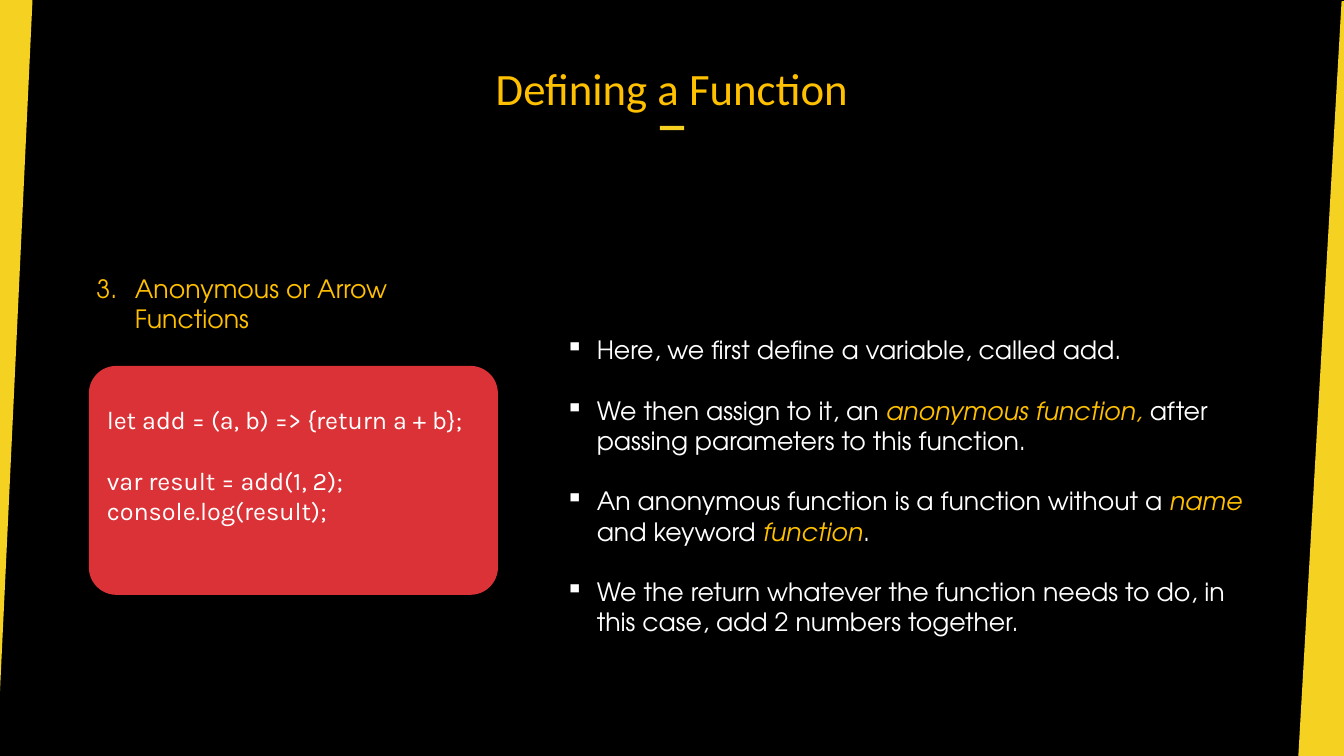
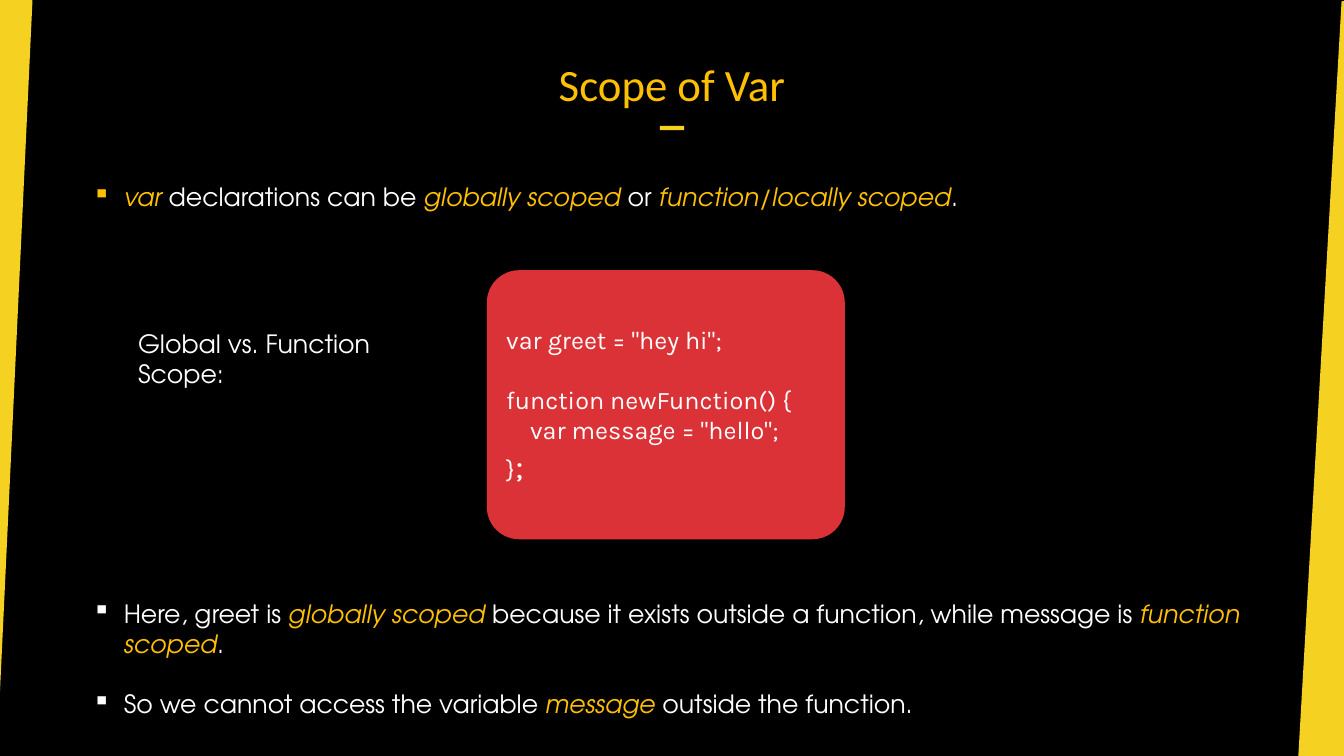
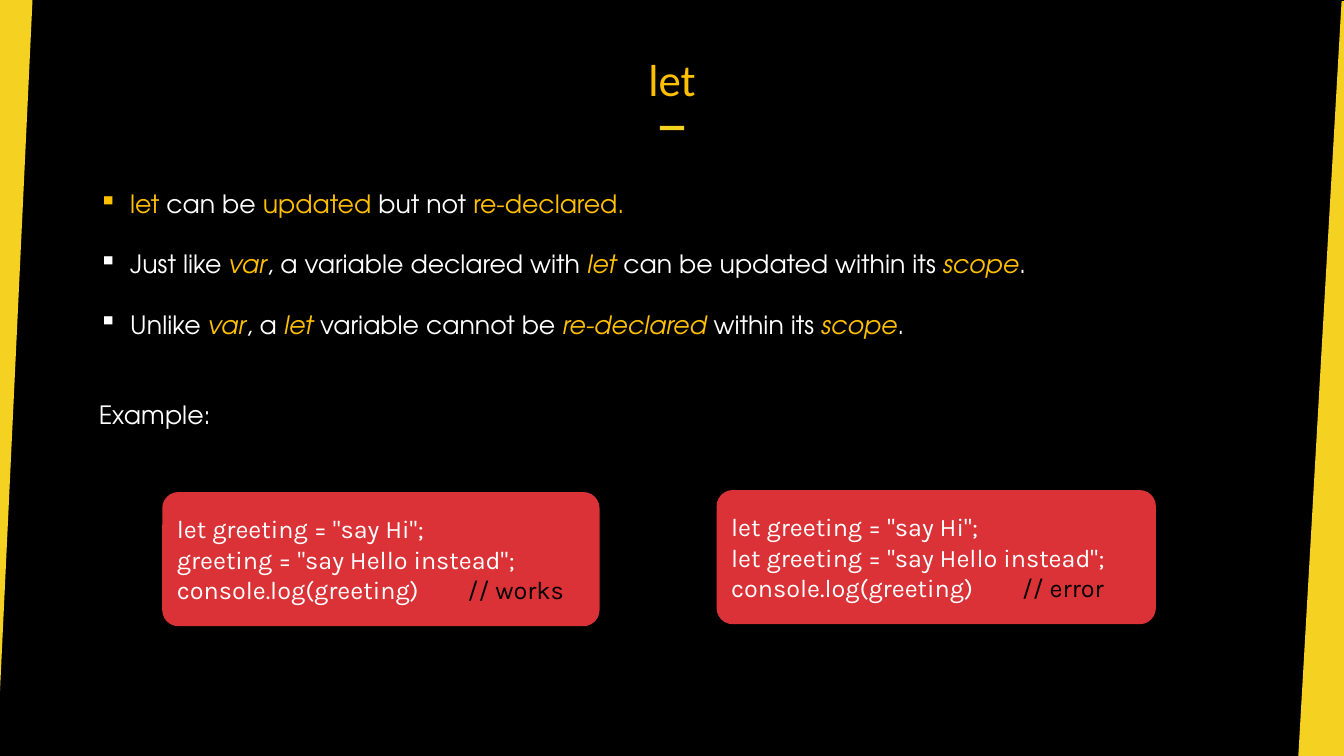
"""Build three slides on functions and variable scope."""
from pptx import Presentation
from pptx.dml.color import RGBColor
from pptx.enum.shapes import MSO_SHAPE as SHAPE
from pptx.enum.text import MSO_ANCHOR as ANCHOR, PP_ALIGN as ALIGN
from pptx.oxml.ns import qn
from pptx.util import Cm, Pt
from lxml.etree import SubElement

BLACK = RGBColor(0x00, 0x00, 0x00)
WHITE = RGBColor(0xFF, 0xFF, 0xFF)
YELLOW = RGBColor(0xF5, 0xD1, 0x21)
AMBER = RGBColor(0xFF, 0xC0, 0x00)
RED = RGBColor(0xDA, 0x32, 0x36)

TITLE_FONT = "Calibri"
BODY_FONT = "TeX Gyre Adventor"
CODE_FONT = "Karla"
GAP = 21.5

LEFT_BAND = [(0, 0), (0.82, 0), (0, 17.43)]
RIGHT_BAND = [(33.81, 0.03), (33.87, 0.03), (33.87, 19.05), (32.72, 19.05)]
EMPHASIS = {"color": AMBER, "italic": True}


def paint(shape, color):
    shape.shadow.inherit = False
    shape.fill.solid()
    shape.fill.fore_color.rgb = color
    shape.line.fill.background()


def add_band(s, points):
    start, *rest = [(Cm(x), Cm(y)) for x, y in points]
    builder = s.shapes.build_freeform(*start, scale=1.0)
    builder.add_line_segments(rest, close=True)
    paint(builder.convert_to_shape(), YELLOW)


def set_bullet(p, indent, tag, **attrs):
    pPr = p._p.get_or_add_pPr()
    pPr.set("marL", str(Cm(indent)))
    pPr.set("indent", str(-Cm(indent)))
    SubElement(pPr, qn(tag), attrs)


def set_tab(p, pos):
    tabs = SubElement(p._p.get_or_add_pPr(), qn("a:tabLst"))
    SubElement(tabs, qn("a:tab"), pos=str(Cm(pos)), algn="l")


def write(tf, text, font=BODY_FONT, size=18, color=WHITE, accent=EMPHASIS,
          before=0, align=ALIGN.LEFT, line=None):
    """Add a paragraph; parts between asterisks take the accent format."""
    p = tf.paragraphs[0]
    if p.runs:
        p = tf.add_paragraph()
        p.space_before = Pt(before)
    p.alignment = align
    if line:
        p.line_spacing = line
    for i, part in enumerate(text.split("*")):
        if not part:
            continue
        fmt = {"size": size, "color": color, "italic": False}
        if i % 2:
            fmt.update(accent)
        r = p.add_run()
        r.text = part
        r.font.name = font
        r.font.size = Pt(fmt["size"])
        r.font.color.rgb = fmt["color"]
        r.font.italic = fmt["italic"]
    return p


def add_box(s, x, y, w, h):
    tf = s.shapes.add_textbox(Cm(x), Cm(y), Cm(w), Cm(h)).text_frame
    tf.word_wrap = True
    return tf


def add_bullet(tf, text, **fmt):
    p = write(tf, text, **{"before": GAP, **fmt})
    set_bullet(p, 0.79, "a:buChar", char="▪")


def add_bullets(s, box, *items, **fmt):
    tf = add_box(s, *box)
    for item in items:
        add_bullet(tf, item, **fmt)
    return tf


def add_code(s, x, y, w, h):
    panel = s.shapes.add_shape(SHAPE.ROUNDED_RECTANGLE, Cm(x), Cm(y), Cm(w), Cm(h))
    panel.adjustments[0] = 0.12
    paint(panel, RED)
    tf = panel.text_frame
    tf.word_wrap = True
    tf.vertical_anchor = ANCHOR.MIDDLE
    return tf


def write_code(tf, *lines, **fmt):
    return [write(tf, text, font=CODE_FONT, **fmt) for text in lines][-1]


def add_example(s, box, *lines):
    p = write_code(add_code(s, *box), *lines, accent={"color": BLACK})
    set_tab(p, 7.33)


def new_slide(prs, title, top):
    s = prs.slides.add_slide(prs.slide_layouts[6])
    s.background.fill.solid()
    s.background.fill.fore_color.rgb = BLACK
    add_band(s, LEFT_BAND)
    add_band(s, RIGHT_BAND)
    dash = s.shapes.add_shape(SHAPE.RECTANGLE, Cm(16.63), Cm(3.17), Cm(0.61), Cm(0.11))
    paint(dash, YELLOW)
    tf = add_box(s, 7.7, top, 18.47, 1.9)
    tf.vertical_anchor = ANCHOR.BOTTOM
    tf.margin_top, tf.margin_bottom = Cm(0.1), 0
    write(tf, title, font=TITLE_FONT, size=32, color=AMBER, align=ALIGN.CENTER)
    return s


def build_arrow_functions(prs):
    s = new_slide(prs, "Defining a Function", 0.99)
    p = write(add_box(s, 2.18, 6.76, 10.39, 1.8), "Anonymous or Arrow Functions", color=AMBER)
    set_bullet(p, 0.97, "a:buAutoNum", type="arabicPeriod", startAt="3")
    tf = add_code(s, 2.24, 9.22, 10.31, 5.77)
    tf.margin_bottom = Cm(0.89)
    write_code(tf, "let add = (a, b) => {return a + b};")
    write_code(tf, "var result = add(1, 2);", before=GAP)
    write_code(tf, "console.log(result);")
    add_bullets(
        s, (14, 8.31, 17.83, 7.95),
        "Here, we first define a variable, called add.",
        "We then assign to it, an *anonymous function, *after passing parameters to this function.",
        "An anonymous function is a function without a *name* and keyword *function*.",
        "We the return whatever the function needs to do, in this case, add 2 numbers together.")


def build_var_scope(prs):
    s = new_slide(prs, "Scope of Var", 0.89)
    add_bullets(
        s, (2.08, 4.52, 29.92, 0.94),
        "*var *declarations can be *globally scoped *or *function/locally scoped*.", line=0.9)
    tf = add_code(s, 12.27, 6.81, 9.02, 6.78)
    write_code(tf, 'var greet = "hey hi";')
    write_code(tf, "function newFunction() {", before=GAP)
    write_code(tf, '    var message = "hello";')
    write_code(tf, "}*;*", accent={"size": 24})
    write(add_box(s, 3.23, 8.15, 8.18, 1.8), "Global vs. Function Scope:")
    add_bullets(
        s, (2.08, 14.94, 29.59, 3.33),
        "Here, greet is* globally scoped *because it exists outside a function, "
        "while message is *function scoped*.",
        "So we cannot access the variable *message *outside the function.")


def build_let(prs):
    s = new_slide(prs, "let", 0.76)
    tf = add_bullets(
        s, (2.24, 4.62, 29.44, 6.4),
        "*let *can be *updated *but not *re-declared.*", accent={"color": AMBER})
    add_bullet(tf, "Just like *var*, a variable declared with *let* can be updated within its *scope*.")
    add_bullet(tf, "Unlike *var*, a *let* variable cannot be *re-declared* within its *scope*.")
    write(tf, "Example:", before=2 * GAP)
    add_example(s, (4.09, 12.4, 11.02, 3.38), 'let greeting = "say Hi";',
                'greeting = "say Hello instead";', "console.log(greeting)\t*// works*")
    add_example(s, (18.06, 12.35, 11.07, 3.38), 'let greeting = "say Hi";',
                'let greeting = "say Hello instead";', "console.log(greeting)\t*// error*")


def main():
    prs = Presentation()
    prs.slide_width, prs.slide_height = Cm(33.87), Cm(19.05)
    build_arrow_functions(prs)
    build_var_scope(prs)
    build_let(prs)
    prs.save("out.pptx")


if __name__ == "__main__":
    main()
